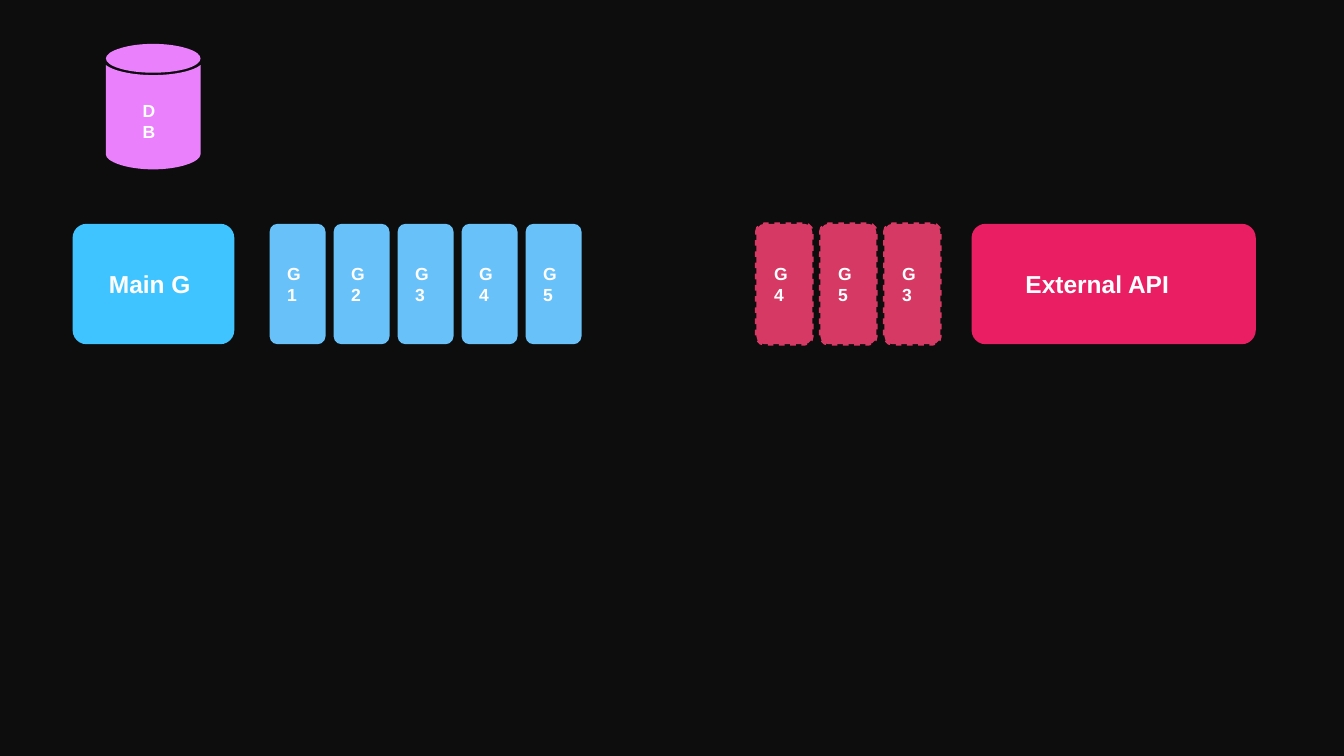
import lxml.etree
import pptx
import pptx.dml.color
import pptx.enum.shapes
import pptx.enum.text
import pptx.oxml.ns
import pptx.util

Inches = pptx.util.Inches
qn = pptx.oxml.ns.qn
TOP, HEIGHT = 4.44, 2.39
CARD_WIDTH, CARD_STEP = 1.11, 1.27


def paint(shape, fill=None, line=None):
    """Set fill and dashed outline from hex colours; None leaves that part empty."""
    shape.shadow.inherit = False
    for part, colour in ((shape.fill, fill), (shape.line.fill, line)):
        if colour:
            part.solid()
            part.fore_color.rgb = pptx.dml.color.RGBColor.from_string(colour)
        else:
            part.background()
    if line:
        shape.line.width = pptx.util.Pt(4)
        outline = shape.element.spPr.find(qn("a:ln"))
        dashes = lxml.etree.SubElement(outline, qn("a:custDash"))
        lxml.etree.SubElement(dashes, qn("a:ds"), d="200000", sp="200000")


def add_label(text, left, top, width, height, size):
    box = page.shapes.add_textbox(Inches(left), Inches(top), Inches(width), Inches(height))
    frame = box.text_frame
    frame.word_wrap = True
    frame.vertical_anchor = pptx.enum.text.MSO_ANCHOR.MIDDLE
    frame.margin_left = frame.margin_right = Inches(0.06)
    frame.margin_top = frame.margin_bottom = Inches(0.06)
    span = frame.paragraphs[0].add_run()
    span.text = text
    span.font.name = "Arial"
    span.font.size = pptx.util.Pt(size)
    span.font.bold = True
    span.font.color.rgb = pptx.dml.color.RGBColor.from_string("FFFFFF")


deck = pptx.Presentation()
deck.slide_width, deck.slide_height = Inches(26.67), Inches(15)
page = deck.slides.add_slide(deck.slide_layouts[6])
page.background.fill.solid()
page.background.fill.fore_color.rgb = pptx.dml.color.RGBColor.from_string("0D0D0D")
rounded = pptx.enum.shapes.MSO_SHAPE.ROUNDED_RECTANGLE

# Main thread and external service
for text, left, width, colour, label_left, label_width in (
    ("Main G", 1.44, 3.21, "40C4FF", 2.1, 1.88),
    ("External API", 19.28, 5.64, "E91E63", 20.29, 3.64),
):
    block = page.shapes.add_shape(rounded, Inches(left), Inches(TOP), Inches(width), Inches(HEIGHT))
    block.adjustments[0] = 0.117
    paint(block, fill=colour)
    add_label(text, label_left, 5.24, label_width, 0.78, 35)

# Running goroutines, then those waiting on the service
for names, start, colour, waiting in (
    (("G1", "G2", "G3", "G4", "G5"), 5.35, "68C1F9", False),
    (("G4", "G5", "G3"), 15.01, "D63964", True),
):
    for index, name in enumerate(names):
        left = start + index * CARD_STEP
        for outline in (False, True) if waiting else (False,):
            card = page.shapes.add_shape(
                rounded, Inches(left), Inches(TOP), Inches(CARD_WIDTH), Inches(HEIGHT))
            card.adjustments[0] = 0.144
            if outline:
                paint(card, line=colour)
            else:
                paint(card, fill=colour)
                add_label(name, left + 0.29, 5.34, 0.54, 0.58, 25)

# Database cylinder: each segment is a line (one point) or a curve (three points)
lid = [
    [(2.8, 0.87), (2.56, 0.9), (2.38, 0.96)],
    [(2.01, 1.07), (2.01, 1.25), (2.38, 1.36)],
    [(2.74, 1.47), (3.34, 1.47), (3.71, 1.36)],
    [(4.07, 1.25), (4.07, 1.07), (3.71, 0.96)],
    [(3.52, 0.9), (3.28, 0.87), (3.04, 0.87)],
]
body = [
    [(2.1, 3.06)],
    [(2.1, 3.21), (2.52, 3.36), (3.04, 3.36)],
    [(3.56, 3.36), (3.98, 3.21), (3.98, 3.06)],
    [(3.98, 1.29)],
    [(3.85, 1.4), (3.48, 1.49), (3.04, 1.49)],
    [(2.61, 1.49), (2.24, 1.4), (2.1, 1.29)],
]
builder = page.shapes.build_freeform(Inches(3.04), Inches(0.87))
for segments in (lid, body):
    if segments is body:
        builder.move_to(Inches(2.1), Inches(1.29))
    points = [(Inches(x), Inches(y)) for segment in segments for x, y in segment]
    builder.add_line_segments(points, close=True)
cylinder = builder.convert_to_shape()
paint(cylinder, fill="EA80FC")

# Join the lines of each three-point segment into one curve
lines = iter(list(cylinder.element.iter(qn("a:lnTo"))))
for segment in lid + body:
    first = next(lines)
    if len(segment) == 3:
        curve = lxml.etree.Element(qn("a:cubicBezTo"))
        first.addprevious(curve)
        for line in (first, next(lines), next(lines)):
            curve.append(line[0])
            line.getparent().remove(line)
add_label("DB", 2.77, 2.11, 0.54, 0.58, 25)

deck.save("out.pptx")
